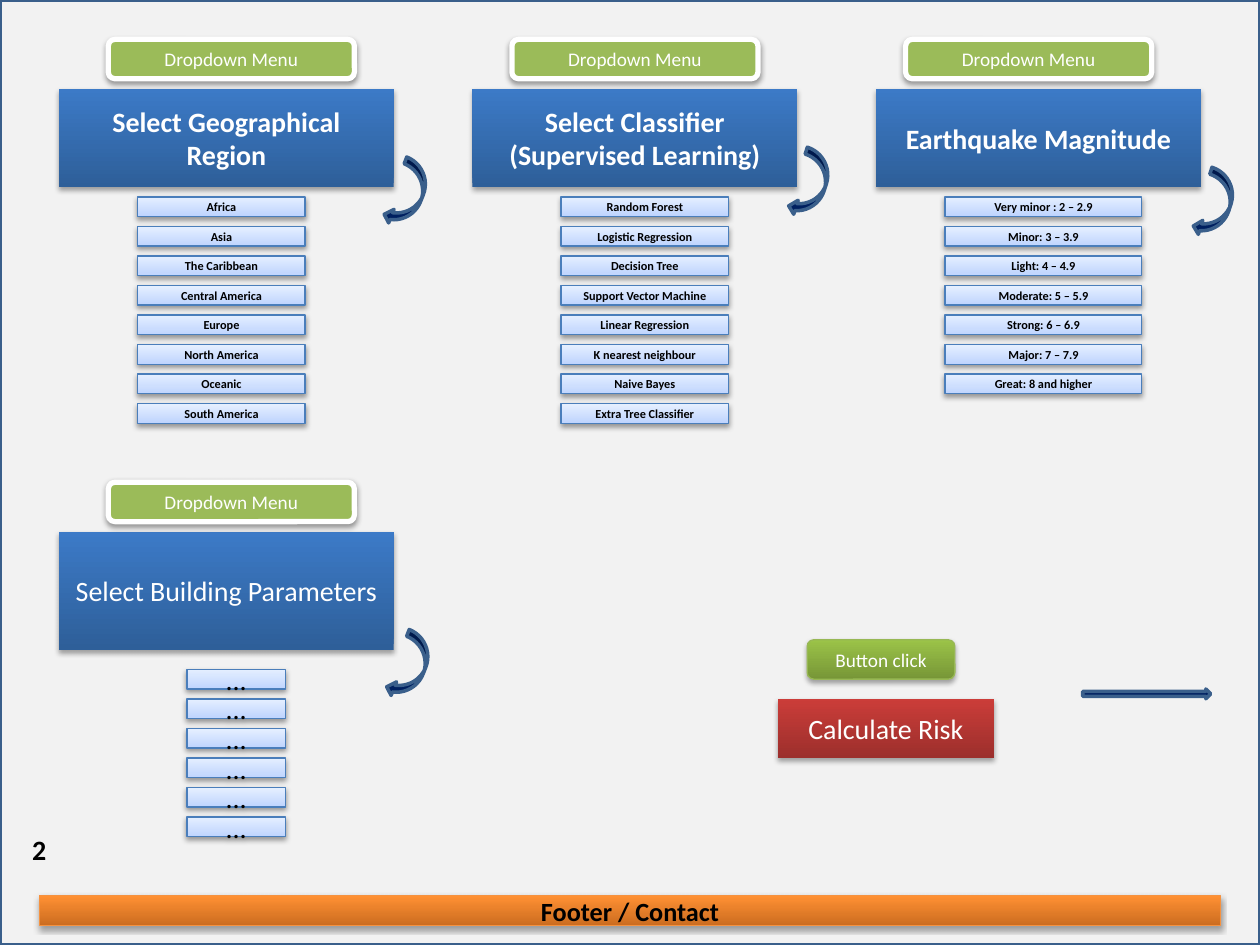
from lxml import etree
from pptx import Presentation
from pptx import util as u
from pptx.dml.color import RGBColor
from pptx.enum import shapes, text
from pptx.oxml.ns import qn

Pt = u.Pt
KIND = shapes.MSO_SHAPE
COLORS = {
    "page": "F2F2F2", "edge": "3A5F8B", "arrow": "002060",
    "header_low": "2E5F99", "header_high": "3C7AC7",
    "option_low": "BFD4FE", "option_high": "E5EFFF", "option_edge": "4A7EBB",
    "tag": "9BBB59", "white": "FFFFFF", "black": "000000",
    "risk_low": "9C2F2C", "risk_high": "CB3D39",
    "click_low": "779637", "click_high": "9BC348", "click_edge": "98B855",
    "footer_low": "CC6D20", "footer_high": "FF9033", "footer_edge": "F59240",
}
TAG_HEIGHT = 22.5
HEADER_DROP = 28.12
OPTION_HEIGHT = 11.25
OPTION_PITCH = 16.88


def rgb(name):
    """Look up a named colour."""
    return RGBColor.from_string(COLORS[name])


def add_shadow(shape, alpha, distance):
    """Give the shape a soft black shadow that falls straight down."""
    effects = shape._element.spPr.find(qn("a:effectLst"))
    shadow = etree.SubElement(
        effects, qn("a:outerShdw"), blurRad=str(Pt(3.1)), dist=str(Pt(distance)),
        dir="5400000", rotWithShape="0")
    color = etree.SubElement(shadow, qn("a:srgbClr"), val=COLORS["black"])
    etree.SubElement(color, qn("a:alpha"), val=str(alpha * 1000))


def write(frame, words, size, color, bold):
    """Fill a text frame with one formatted paragraph."""
    frame.text = words
    font = frame.paragraphs[0].runs[0].font
    font.name, font.size, font.bold = "Calibri", Pt(size), bold
    font.color.rgb = rgb(color)


def add_box(slide, box, fill, line=None, kind=KIND.RECTANGLE, shadow=None,
            words=None, size=16, color="white", bold=False):
    """Draw a shape; fill is one colour or a (bottom, top) pair, line is (colour, width)."""
    shape = slide.shapes.add_shape(kind, *map(Pt, box))
    if isinstance(fill, tuple):
        shape.fill.gradient()
        shape.fill.gradient_angle = 90
        for stop, position, name in zip(shape.fill.gradient_stops, (0, 1), fill):
            stop.position = position
            stop.color.rgb = rgb(name)
    else:
        shape.fill.solid()
        shape.fill.fore_color.rgb = rgb(fill)
    if line:
        shape.line.color.rgb = rgb(line[0])
        shape.line.width = Pt(line[1])
    else:
        shape.line.fill.background()
    shape.shadow.inherit = False
    if shadow:
        add_shadow(shape, *shadow)
    if words:
        frame = shape.text_frame
        frame.word_wrap = True
        frame.vertical_anchor = text.MSO_ANCHOR.MIDDLE
        write(frame, words, size, color, bold)
        frame.paragraphs[0].alignment = text.PP_ALIGN.CENTER
    return shape


def add_menu(slide, box, title, tag_inset, option_inset, option_width, options,
             arrow_at, arrow_turn, gap=5.62, bold=True, option_size=7):
    """Draw a menu in its box: tag, header below it, options under that, curved arrow."""
    left, top, width, height = box
    header_top = top + HEADER_DROP
    add_box(slide, (left, header_top, width, height - HEADER_DROP),
            ("header_low", "header_high"), shadow=(35, 1.8), words=title, bold=bold)
    for row, option in enumerate(options):
        option_top = top + height + gap + row * OPTION_PITCH
        add_box(slide, (left + option_inset, option_top, option_width, OPTION_HEIGHT),
                ("option_low", "option_high"), ("option_edge", 0.75), shadow=(38, 1.6),
                words=option, size=option_size, color="black", bold=bold)
    add_box(slide, (left + tag_inset, top, 140.62, TAG_HEIGHT), "tag", ("white", 3),
            KIND.ROUNDED_RECTANGLE, (38, 1.6), "Dropdown Menu", 11)
    arrow = add_box(slide, (left + arrow_at[0], top + arrow_at[1], 16.7, 39.4),
                    "arrow", ("edge", 2), KIND.CURVED_LEFT_ARROW)
    arrow.rotation = arrow_turn


def add_calculation(slide, left, top):
    """Draw the risk button, its click tag and the arrow to the next page."""
    add_box(slide, (left, top + 33.75, 123.75, 33.75), ("risk_low", "risk_high"),
            shadow=(35, 1.8), words="Calculate Risk")
    add_box(slide, (left + 16.88, top, 84.38, 22.5), ("click_low", "click_high"),
            ("click_edge", 0.75), KIND.ROUNDED_RECTANGLE, (35, 1.8), "Button click", 11)
    add_box(slide, (left + 174.38, top + 28.12, 73.12, 5.62), "arrow", ("edge", 2),
            KIND.RIGHT_ARROW)


def add_footer(slide, left, top):
    """Draw the page number and the contact bar."""
    number = slide.shapes.add_textbox(*map(Pt, (left - 11.25, top - 39.6, 22.5, 26)))
    number.text_frame.word_wrap = True
    write(number.text_frame, "2", 16, "black", True)
    add_box(slide, (left, top, 675, 16.88), ("footer_low", "footer_high"),
            ("footer_edge", 0.75), shadow=(35, 1.8), words="Footer / Contact",
            size=15, color="black", bold=True)


def build():
    """Build the page and save it."""
    deck = Presentation()
    deck.slide_width, deck.slide_height = Pt(720), Pt(540)
    slide = deck.slides.add_slide(deck.slide_layouts[6])
    add_box(slide, (0, 0, 720, 540), "page", ("edge", 2))

    regions = ["Africa", "Asia", "The Caribbean", "Central America", "Europe",
               "North America", "Oceanic", "South America"]
    classifiers = ["Random Forest", "Logistic Regression", "Decision Tree",
                   "Support Vector Machine", "Linear Regression",
                   "K nearest neighbour", "Naive Bayes", "Extra Tree Classifier"]
    magnitudes = ["Very minor : 2 – 2.9", "Minor: 3 – 3.9", "Light: 4 – 4.9",
                  "Moderate: 5 – 5.9", "Strong: 6 – 6.9", "Major: 7 – 7.9",
                  "Great: 8 and higher"]
    add_menu(slide, (33.75, 22.5, 191.25, 84.38), "Select Geographical Region",
             28.12, 45, 95.62, regions, (190.9, 68.9), 21.5)
    add_menu(slide, (270, 22.5, 185.62, 84.38), "Select Classifier (Supervised Learning)",
             22.5, 50.62, 95.62, classifiers, (185, 63.2), 17.6)
    add_menu(slide, (500.62, 22.5, 185.62, 84.38), "Earthquake Magnitude",
             16.88, 39.38, 112.5, magnitudes, (185.6, 74.7), 17.6)
    add_menu(slide, (33.75, 275.62, 191.25, 95.62), "Select Building Parameters",
             28.12, 73.12, 56.25, ["..."] * 6, (192.3, 85.8), 21.5,
             gap=11.25, bold=False, option_size=16)
    add_calculation(slide, 444.38, 365.62)
    add_footer(slide, 22.5, 511.88)
    deck.save("out.pptx")


build()
